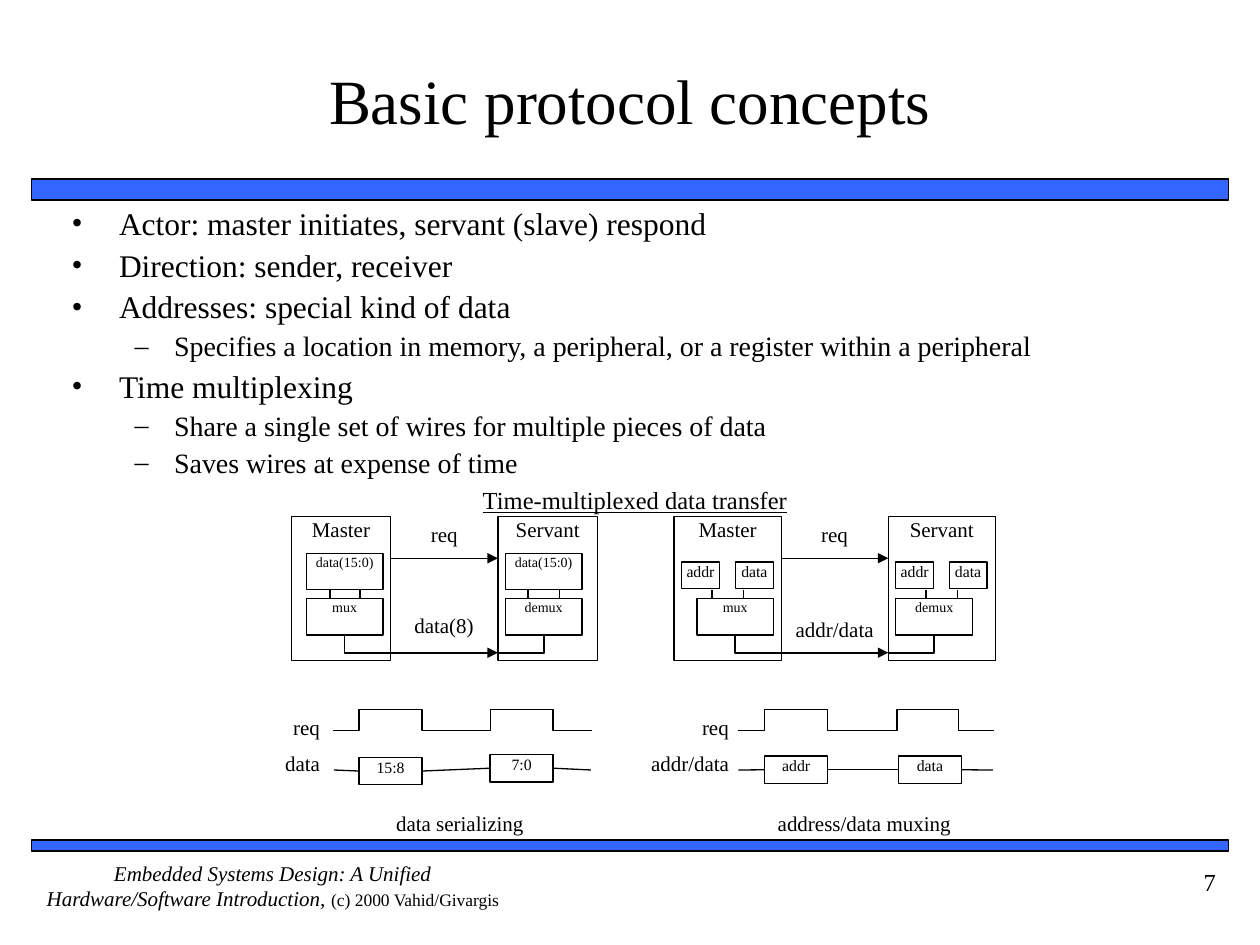
"""Build the slide on basic protocol concepts with its time-multiplexing diagrams."""
from dataclasses import dataclass
from itertools import pairwise

from lxml import etree
from pptx import Presentation
from pptx.dml.color import RGBColor
from pptx.enum.shapes import MSO_CONNECTOR, MSO_SHAPE
from pptx.enum.text import MSO_ANCHOR, MSO_AUTO_SIZE, PP_ALIGN
from pptx.oxml.ns import qn
from pptx.util import Pt

STRAIGHT, RECTANGLE = MSO_CONNECTOR.STRAIGHT, MSO_SHAPE.RECTANGLE
TOP, MIDDLE, NO_FIT = MSO_ANCHOR.TOP, MSO_ANCHOR.MIDDLE, MSO_AUTO_SIZE.NONE
CENTER, RIGHT = PP_ALIGN.CENTER, PP_ALIGN.RIGHT
LEFT_SIDE, RIGHT_SIDE = 1, 3
COLORS = {"ink": "000000", "bar": "3366FF", "paper": "FFFFFF"}
FONT = "Times New Roman"
ACTOR_TOP, ACTOR_HEIGHT, ACTOR_GAP = 295.2, 82.1, 61.2
REQUEST_Y, BUS_Y = 319, 373
REGISTER_BOTTOM, MUX_TOP, MUX_WIDTH, MUX_HEIGHT = 337, 342, 43.9, 20.9
WAVE_LOW, WAVE_HIGH, WIRE_Y = 417.6, 405.4, 440
SLOT_WIDTH, SLOT_HEIGHT = 36, 15.8


@dataclass
class Area:
    left: float
    top: float
    width: float
    height: float

    def lengths(self) -> tuple:
        return tuple(Pt(v) for v in (self.left, self.top, self.width, self.height))


@dataclass
class Label:
    text: str
    area: Area | None
    size: float = 12
    align: int = CENTER


@dataclass
class Actor:
    name: str
    left: float
    mux_name: str
    mux_left: float
    registers: list[Label]
    stubs: tuple[float, float]


@dataclass
class Panel:
    actor_width: float
    actors: tuple[Actor, Actor]
    labels: list[Label]
    edges: tuple
    wire_ends: tuple[float, float]
    slots: list[Label]


def color(name: str) -> RGBColor:
    return RGBColor.from_string(COLORS[name])


def apply_format(target, values: dict) -> None:
    for name, value in values.items():
        setattr(target, name, value)


def format_frame(frame, side: float = 0, end: float = 0, anchor=TOP) -> None:
    apply_format(frame, {
        "margin_left": Pt(side), "margin_right": Pt(side), "margin_top": Pt(end),
        "margin_bottom": Pt(end), "word_wrap": True, "auto_size": NO_FIT,
        "vertical_anchor": anchor})


def add_span(para, text: str, size: float, **extra) -> None:
    span = para.add_run()
    span.text = text
    apply_format(span.font, {"name": FONT, "size": Pt(size), **extra})
    span.font.color.rgb = color("ink")


def write_label(shape, label: Label, side: float = 0, end: float = 0, **extra) -> None:
    format_frame(shape.text_frame, side, end)
    para = shape.text_frame.paragraphs[0]
    para.alignment = label.align
    add_span(para, label.text, label.size, **extra)


def add_label(page, label: Label, side: float = 0, end: float = 0, **extra) -> None:
    box = page.shapes.add_textbox(*label.area.lengths())
    write_label(box, label, side, end, **extra)


def add_outline(shape, width: float) -> None:
    shape.line.color.rgb = color("ink")
    shape.line.width = Pt(width)


def add_box(page, area: Area, fill: str = "", width: float = 0.75):
    box = page.shapes.add_shape(RECTANGLE, *area.lengths())
    box.shadow.inherit = False
    if fill:
        box.fill.solid()
        box.fill.fore_color.rgb = color(fill)
    else:
        box.fill.background()
    add_outline(box, width)
    return box


def add_labelled_box(page, label: Label, fill: str = ""):
    box = add_box(page, label.area, fill)
    write_label(box, label)
    return box


def add_line(page, start: tuple, end: tuple, width: float = 0.75, arrow: bool = False):
    line = page.shapes.add_connector(STRAIGHT, *(Pt(v) for v in (*start, *end)))
    add_outline(line, width)
    props = line.element.spPr
    if arrow:
        etree.SubElement(props.find(qn("a:ln")), qn("a:tailEnd"), type="triangle")
    etree.SubElement(props, qn("a:effectLst"))
    return line


def add_path(page, points: list, width: float) -> None:
    start, *rest = [(Pt(x), Pt(y)) for x, y in points]
    builder = page.shapes.build_freeform(*start)
    builder.add_line_segments(rest, close=False)
    path = builder.convert_to_shape()
    path.shadow.inherit = False
    path.fill.background()
    add_outline(path, width)


def draw_actor(page, actor: Actor, width: float, inner_edge: float) -> None:
    add_labelled_box(page, Label(actor.name, Area(actor.left, ACTOR_TOP, width, ACTOR_HEIGHT)), "paper")
    mux = Area(actor.mux_left, MUX_TOP, MUX_WIDTH, MUX_HEIGHT)
    for label in [*actor.registers, Label(actor.mux_name, mux, 8)]:
        add_labelled_box(page, label)
    for x in actor.stubs:
        add_line(page, (x, REGISTER_BOTTOM), (x, MUX_TOP), 1)
    middle = actor.mux_left + MUX_WIDTH / 2
    add_path(page, [(inner_edge, BUS_Y), (middle, BUS_Y), (middle, MUX_TOP + MUX_HEIGHT)], 1)


def draw_panel(page, panel: Panel) -> None:
    master, servant = panel.actors
    near, far = master.left + panel.actor_width, servant.left
    draw_actor(page, master, panel.actor_width, near)
    draw_actor(page, servant, panel.actor_width, far)
    add_line(page, (near, REQUEST_Y), (far, REQUEST_Y), arrow=True)
    add_line(page, (near, BUS_Y), (far, BUS_Y), 1, arrow=True)
    for label in [Label("req", Area(near + 8.6, 298.1, 43.9, 20.9)), *panel.labels]:
        add_label(page, label)
    levels = [WAVE_LOW, WAVE_HIGH] * 2 + [WAVE_LOW]
    wave = [(x, y) for span, y in zip(pairwise(panel.edges), levels) for x in span]
    add_path(page, wave, 0.75)
    slots = [add_labelled_box(page, slot) for slot in panel.slots]
    first, last = panel.wire_ends
    for before, after in pairwise([None, *slots, None]):
        wire = add_line(page, (first, WIRE_Y), (last, WIRE_Y))
        if before:
            wire.begin_connect(before, RIGHT_SIDE)
        if after:
            wire.end_connect(after, LEFT_SIDE)


def fill_body(body, items: list) -> None:
    format_frame(body.text_frame, 7.2, 3.6)
    styles = [("•", 27, -27, 18, 4.5), ("–", 58.5, -22.5, 16, 4)]
    for index, (level, text) in enumerate(items):
        mark, margin, indent, size, space = styles[level]
        para = body.text_frame.add_paragraph() if index else body.text_frame.paragraphs[0]
        props = para._p.get_or_add_pPr()
        props.set("marL", str(Pt(margin)))
        props.set("indent", str(Pt(indent)))
        etree.SubElement(props, qn("a:buFont"), typeface=FONT)
        etree.SubElement(props, qn("a:buChar"), char=mark)
        apply_format(para, {"level": level, "line_spacing": 0.9, "space_after": Pt(0),
                            "space_before": Pt(space if index else 0)})
        add_span(para, text, size)


def register_pair(first: float, second: float) -> list[Label]:
    return [Label(text, Area(x, 321.1, 21.6, 15.1), 9)
            for text, x in (("addr", first), ("data", second))]


def slot(text: str, left: float, top: float) -> Label:
    return Label(text, Area(left, top, SLOT_WIDTH, SLOT_HEIGHT), 9)


def wide_register(left: float) -> list[Label]:
    return [Label("data(15:0)", Area(left, 316.1, MUX_WIDTH, MUX_HEIGHT), 8)]


def main() -> None:
    deck = Presentation()
    deck.slide_width, deck.slide_height = Pt(720), Pt(540)
    page = deck.slides.add_slide(deck.slide_layouts[1])
    title, body = page.placeholders
    for holder, area in ((title, Area(30, 12, 660, 90)), (body, Area(33.8, 115.2, 654.5, 165.6))):
        apply_format(holder, dict(zip(("left", "top", "width", "height"), area.lengths())))
    for area in (Area(18, 102.2, 684, 12), Area(18, 480.2, 684, 6)):
        add_box(page, area, "bar", 1)
    write_label(title, Label("Basic protocol concepts", None, 36), 0, 3.6)
    title.text_frame.vertical_anchor = MIDDLE
    fill_body(body, [
        (0, "Actor: master initiates, servant (slave) respond"),
        (0, "Direction: sender, receiver"),
        (0, "Addresses: special kind of data"),
        (1, "Specifies a location in memory, a peripheral, or a register within a peripheral"),
        (0, "Time multiplexing"),
        (1, "Share a single set of wires for multiple pieces of data"),
        (1, "Saves wires at expense of time")])
    serial = Panel(
        56.9, (Actor("Master", 166.4, "mux", 175, wide_register(175), (188.6, 205.9)),
               Actor("Servant", 284.5, "demux", 288.7, wide_register(288.7), (301.7, 319.7))),
        [Label("data(8)", Area(231.8, 349.9, 43.9, 20.2)),
         Label("req", Area(157, 408.2, 25.9, 20.9), align=RIGHT),
         Label("data", Area(159.1, 429.1, 23.8, 20.9), align=RIGHT),
         Label("data serializing", Area(211, 463, 103.7, 15.8))],
        (190.1, 205.2, 241.2, 280.4, 316.1, 338.4), (190.8, 337.7),
        [slot("15:8", 205.2, 432.7), slot("7:0", 280.1, 431.1)])
    muxed = Panel(
        61.2, (Actor("Master", 385.2, "mux", 398.2, register_pair(389.5, 420.3), (406.8, 424.8)),
               Actor("Servant", 385.2 + 61.2 + ACTOR_GAP, "demux", 511.9,
                     register_pair(511.9, 542.4), (529.2, 547.2))),
        [Label("addr/data", Area(446.4, 352.1, 61.2, 20.9)),
         Label("req", Area(390.6, 408.2, 25.9, 20.9), align=RIGHT),
         Label("addr/data", Area(368.5, 429.1, 48.2, 20.9), align=RIGHT),
         Label("address/data muxing", Area(421.2, 463, 145.4, 15.1))],
        (421.9, 437, 473, 512.6, 547.6, 568.1), (421.9, 567.4),
        [slot("addr", 437, 432), slot("data", 513.4, 432)])
    for panel in (serial, muxed):
        draw_panel(page, panel)
    add_label(page, Label("Time-multiplexed data transfer", Area(250.6, 277.2, 224.6, 16.6), 14), underline=True)
    footer = page.shapes.add_textbox(*Area(18, 491.8, 275.8, 36).lengths())
    write_label(footer, Label("Embedded Systems Design: A Unified Hardware/Software Introduction, ", None),
                italic=True)
    add_span(footer.text_frame.paragraphs[0], "(c) 2000 Vahid/Givargis", 10)
    add_label(page, Label("7", Area(630, 491.8, 72, 36), 14, RIGHT), 7.2, 3.6)
    deck.save("out.pptx")


if __name__ == "__main__":
    main()
